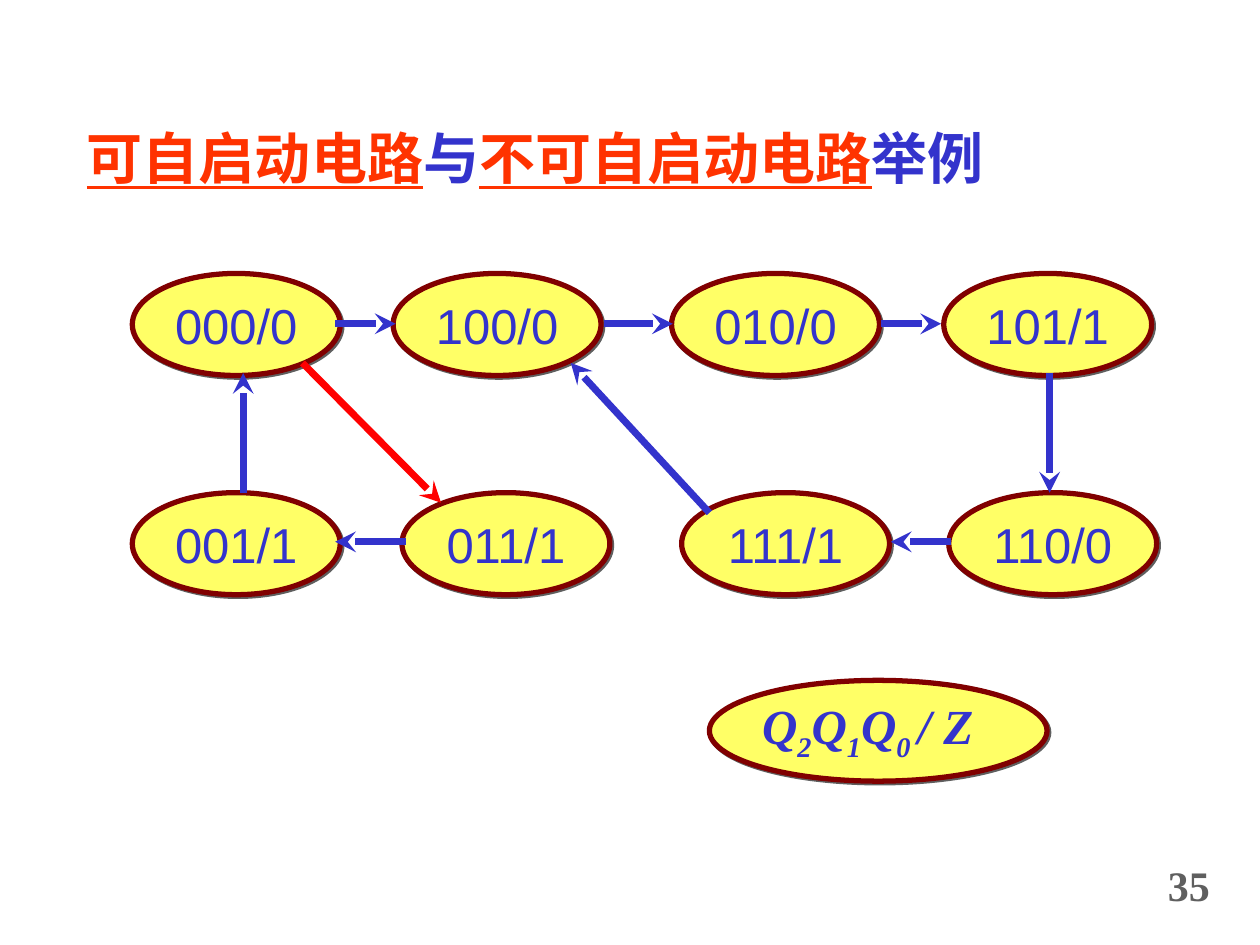
from lxml.etree import SubElement
from pptx import Presentation
from pptx.dml.color import RGBColor
from pptx.enum.shapes import MSO_CONNECTOR, MSO_SHAPE
from pptx.enum.text import MSO_ANCHOR, MSO_AUTO_SIZE, PP_ALIGN
from pptx.oxml.ns import qn
from pptx.util import Inches, Pt

COLORS = {
    "text": "3333CC",
    "accent": "FF3300",
    "fill": "FFFF66",
    "outline": "800000",
    "gray": "5F5F5F",
    "red": "FF0000",
}
TITLE = [("可自启动电路", True), ("与", False), ("不可自启动电路", True), ("举例", False)]
LEGEND = [("Q", False), ("2", True), ("Q", False), ("1", True),
          ("Q", False), ("0 ", True), ("/ Z", False)]
PAGE_NUMBER = "35"

STATE_WIDTH, STATE_HEIGHT = 1.65, 0.81
TOP_ROW, BOTTOM_ROW = 2.17, 3.91
TOP_AXIS, BOTTOM_AXIS = TOP_ROW + 0.4, BOTTOM_ROW + 0.39
TOP_EDGE = TOP_ROW + 0.79
STATE_ROWS = [
    (TOP_ROW, [("000/0", 1.05), ("100/0", 3.12), ("010/0", 5.33), ("101/1", 7.49)]),
    (BOTTOM_ROW, [("001/1", 1.05), ("011/1", 3.19), ("111/1", 5.41), ("110/0", 7.53)]),
]
TRANSITIONS = [
    ((2.66, TOP_AXIS), (3.14, TOP_AXIS), "text"),
    ((4.79, TOP_AXIS), (5.34, TOP_AXIS), "text"),
    ((6.99, TOP_AXIS), (7.47, TOP_AXIS), "text"),
    ((8.33, TOP_EDGE), (8.33, BOTTOM_ROW), "text"),
    ((7.55, BOTTOM_AXIS), (7.07, BOTTOM_AXIS), "text"),
    ((3.22, BOTTOM_AXIS), (2.66, BOTTOM_AXIS), "text"),
    ((1.93, BOTTOM_ROW), (1.93, TOP_EDGE), "text"),
    ((5.63, 4.07), (4.53, 2.88), "text"),
    ((2.4, 2.88), (3.5, 3.99), "red"),
]


def color(name):
    return RGBColor.from_string(COLORS[name])


def style_font(font, size, name, color_name, bold=False, italic=False):
    font.size = Pt(size)
    font.name = name
    font.bold = bold
    font.italic = italic
    font.color.rgb = color(color_name)


def prepare_text(shape):
    frame = shape.text_frame
    frame.word_wrap = True
    frame.auto_size = MSO_AUTO_SIZE.NONE
    frame.vertical_anchor = MSO_ANCHOR.TOP
    paragraph = frame.paragraphs[0]
    paragraph.alignment = PP_ALIGN.LEFT
    paragraph.line_spacing = 0.9
    return paragraph


def add_text_box(slide, *box):
    return prepare_text(slide.shapes.add_textbox(*map(Inches, box)))


def add_ellipse(slide, *box):
    shape = slide.shapes.add_shape(MSO_SHAPE.OVAL, *map(Inches, box))
    shape.fill.solid()
    shape.fill.fore_color.rgb = color("fill")
    shape.line.color.rgb = color("outline")
    shape.line.width = Pt(3)
    shape.shadow.inherit = False
    effects = shape.element.spPr.find(qn("a:effectLst"))
    shadow = SubElement(effects, qn("a:outerShdw"), dist=str(Pt(1.4)),
                        dir="2700000", algn="ctr", rotWithShape="0")
    SubElement(shadow, qn("a:srgbClr"), val=COLORS["gray"])
    return shape


def add_state(slide, label, left, top):
    frame = add_ellipse(slide, left, top, STATE_WIDTH, STATE_HEIGHT).text_frame
    frame.word_wrap = False
    frame.vertical_anchor = MSO_ANCHOR.MIDDLE
    paragraph = frame.paragraphs[0]
    paragraph.text = label
    paragraph.alignment = PP_ALIGN.CENTER
    style_font(paragraph.font, 28, "Arial", "text")


def add_arrow(slide, start, end, color_name):
    arrow = slide.shapes.add_connector(
        MSO_CONNECTOR.STRAIGHT, *map(Inches, start + end))
    arrow.line.color.rgb = color(color_name)
    arrow.line.width = Pt(4)
    SubElement(arrow.line._get_or_add_ln(), qn("a:tailEnd"), type="stealth")
    SubElement(arrow.element.spPr, qn("a:effectLst"))


def add_title(slide):
    title = slide.shapes.title
    title.left, title.top, title.width, title.height = map(
        Inches, (0.59, 0.99, 7.64, 0.58))
    paragraph = prepare_text(title)
    style_font(paragraph.font, 32, "Times New Roman", "text", bold=True)
    for text, highlighted in TITLE:
        run = paragraph.add_run()
        run.text = text
        if highlighted:
            run.font.color.rgb = color("accent")
            run.font.underline = True


def add_legend(slide):
    add_ellipse(slide, 5.63, 5.4, 2.68, 0.8)
    paragraph = add_text_box(slide, 5.95, 5.48, 2.06, 0.58)
    style_font(paragraph.font, 28, "Times New Roman", "text", bold=True, italic=True)
    for text, lowered in LEGEND:
        run = paragraph.add_run()
        run.text = text
        if lowered:
            run.font._element.set("baseline", "-25000")


def main():
    presentation = Presentation()
    presentation.slide_width, presentation.slide_height = Inches(10), Inches(7.5)
    slide = presentation.slides.add_slide(presentation.slide_layouts[5])
    add_title(slide)
    add_legend(slide)
    for top, states in STATE_ROWS:
        for label, left in states:
            add_state(slide, label, left, top)
    for start, end, color_name in TRANSITIONS:
        add_arrow(slide, start, end, color_name)
    paragraph = add_text_box(slide, 9.17, 6.82, 0.63, 0.46)
    paragraph.text = PAGE_NUMBER
    style_font(paragraph.font, 24, "Times New Roman", "gray", bold=True)
    presentation.save("out.pptx")


if __name__ == "__main__":
    main()
